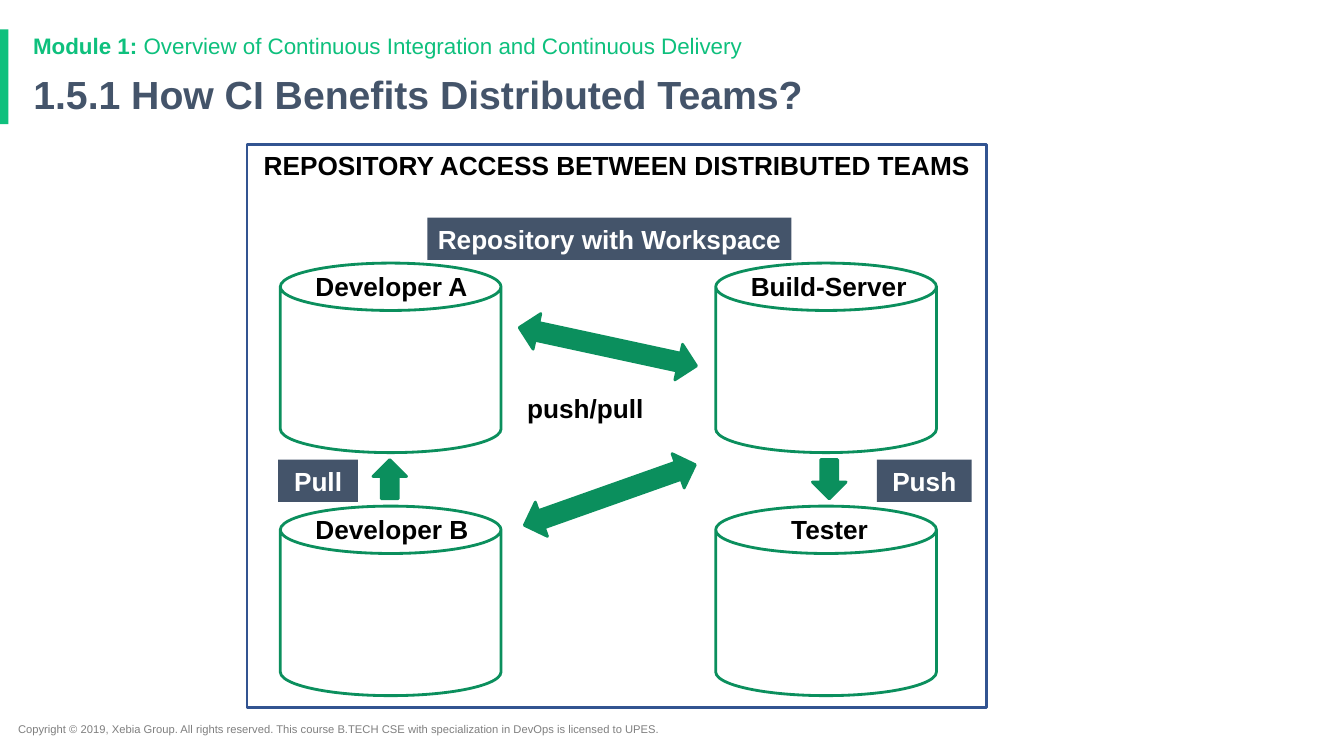
from pptx import Presentation
from pptx.dml.color import RGBColor
from pptx.enum.shapes import MSO_SHAPE as Shape
from pptx.enum.text import MSO_ANCHOR as Anchor, PP_ALIGN as Align
from pptx.util import Pt

MINT = RGBColor(0x0E, 0xC0, 0x7D)
GREEN = RGBColor(0x0B, 0x8F, 0x5D)
SLATE = RGBColor(0x44, 0x54, 0x6A)
BLUE = RGBColor(0x32, 0x54, 0x91)
GREY = RGBColor(0x7F, 0x7F, 0x7F)
BLACK = RGBColor(0, 0, 0)
WHITE = RGBColor(0xFF, 0xFF, 0xFF)

# Content; boxes are (left, top, width, height) in points
TITLE = "1.5.1 How CI Benefits Distributed Teams?"
MODULE = [("Module 1: ", True),
          ("Overview of Continuous Integration and Continuous Delivery", False)]
COPYRIGHT = ("Copyright © 2019, Xebia Group. All rights reserved. This course "
             "B.TECH CSE with specialization in DevOps is licensed to UPES.")
DIAGRAM_HEADING = "REPOSITORY ACCESS BETWEEN DISTRIBUTED TEAMS"
REPOSITORIES = [  # rows of (name, alignment)
    [("Developer A", Align.LEFT), ("Build-Server", Align.LEFT)],
    [("Developer B", Align.LEFT), ("Tester", Align.CENTER)],
]
TAGS = [
    ("Pull", (198.7, 328.3, 57, 30.2)),
    ("Push", (626.4, 328.3, 67.7, 30.2)),
    ("Repository with Workspace", (305.3, 155.5, 260, 30.2)),
]
ARROWS = [  # shape, box, rotation
    (Shape.DOWN_ARROW, (580.3, 328.3, 24, 28), 0),
    (Shape.DOWN_ARROW, (266.4, 328.3, 24, 28), 180),
    (Shape.LEFT_RIGHT_ARROW, (369.4, 234.7, 129.6, 26), 12.2),
    (Shape.LEFT_RIGHT_ARROW, (370.8, 340.6, 129.6, 26), 340.5),
]

# Layout
CAN_LEFT, CAN_TOP, CAN_W, CAN_H = 200.2, 187.9, 157.7, 135.4
COLUMN_STEP, ROW_STEP = 311, 173.6
LABEL_DX, LABEL_DY, LABEL_W, LABEL_H = 18, 1.6, 126.7, 27.4
DIAGRAM_SIZE = 18.7

prs = Presentation()
prs.slide_width, prs.slide_height = Pt(960), Pt(540)
slide = prs.slides.add_slide(prs.slide_layouts[5])


def write(holder, runs, size, color, align=Align.LEFT, anchor=Anchor.TOP, spacing=None):
    frame = holder.text_frame
    frame.word_wrap = True
    frame.vertical_anchor = anchor
    frame.margin_left = frame.margin_right = Pt(7.2)
    frame.margin_top = frame.margin_bottom = Pt(3.6)
    paragraph = frame.paragraphs[0]
    paragraph.alignment = align
    if spacing:
        paragraph.line_spacing = spacing
    for text, bold in runs:
        run = paragraph.add_run()
        run.text = text
        run.font.name, run.font.size, run.font.bold = "Arial", Pt(size), bold
        run.font.color.rgb = color


def add_text(box, *args, **kwargs):
    write(slide.shapes.add_textbox(*map(Pt, box)), *args, **kwargs)


def add_shape(kind, box, fill=None, line=None):
    shape = slide.shapes.add_shape(kind, *map(Pt, box))
    shape.shadow.inherit = False
    if fill is None:
        shape.fill.background()
    else:
        shape.fill.solid()
        shape.fill.fore_color.rgb = fill
    if line is None:
        shape.line.fill.background()
    else:
        shape.line.color.rgb = line
        shape.line.width = Pt(2)
    return shape


# Header and footer
add_shape(Shape.RECTANGLE, (0, 21, 6, 67.7), MINT)
add_text((5.8, 512.6, 513.4, 17.3), [(COPYRIGHT, False)], 8, GREY)
add_text((16.6, 21.6, 828, 23.8), MODULE, 16, MINT, anchor=Anchor.MIDDLE, spacing=0.9)
title = slide.shapes.title
title.left, title.top, title.width, title.height = map(Pt, (16.6, 49.7, 828, 38.9))
write(title, [(TITLE, True)], 28, SLATE, anchor=Anchor.MIDDLE, spacing=0.9)

# Repositories
for row, repositories in enumerate(REPOSITORIES):
    for column, (name, align) in enumerate(repositories):
        left = CAN_LEFT + column * COLUMN_STEP
        top = CAN_TOP + row * ROW_STEP
        add_shape(Shape.CAN, (left, top, CAN_W, CAN_H), WHITE, GREEN)
        add_text((left + LABEL_DX, top + LABEL_DY, LABEL_W, LABEL_H),
                 [(name, True)], DIAGRAM_SIZE, BLACK, align)

# Tags and exchange label
for tag, box in TAGS:
    write(add_shape(Shape.RECTANGLE, box, SLATE), [(tag, True)],
          DIAGRAM_SIZE, WHITE, Align.CENTER, Anchor.MIDDLE)
add_text((369.4, 276.5, 109.4, 30.2), [("push/pull", True)], DIAGRAM_SIZE, BLACK)

# Arrows
for kind, box, rotation in ARROWS:
    add_shape(kind, box, GREEN, GREEN).rotation = rotation

# Diagram frame
diagram = add_shape(Shape.RECTANGLE, (176.4, 103, 528.5, 402.5), line=BLUE)
write(diagram, [(DIAGRAM_HEADING, True)], DIAGRAM_SIZE, BLACK, Align.CENTER)

prs.save("out.pptx")
